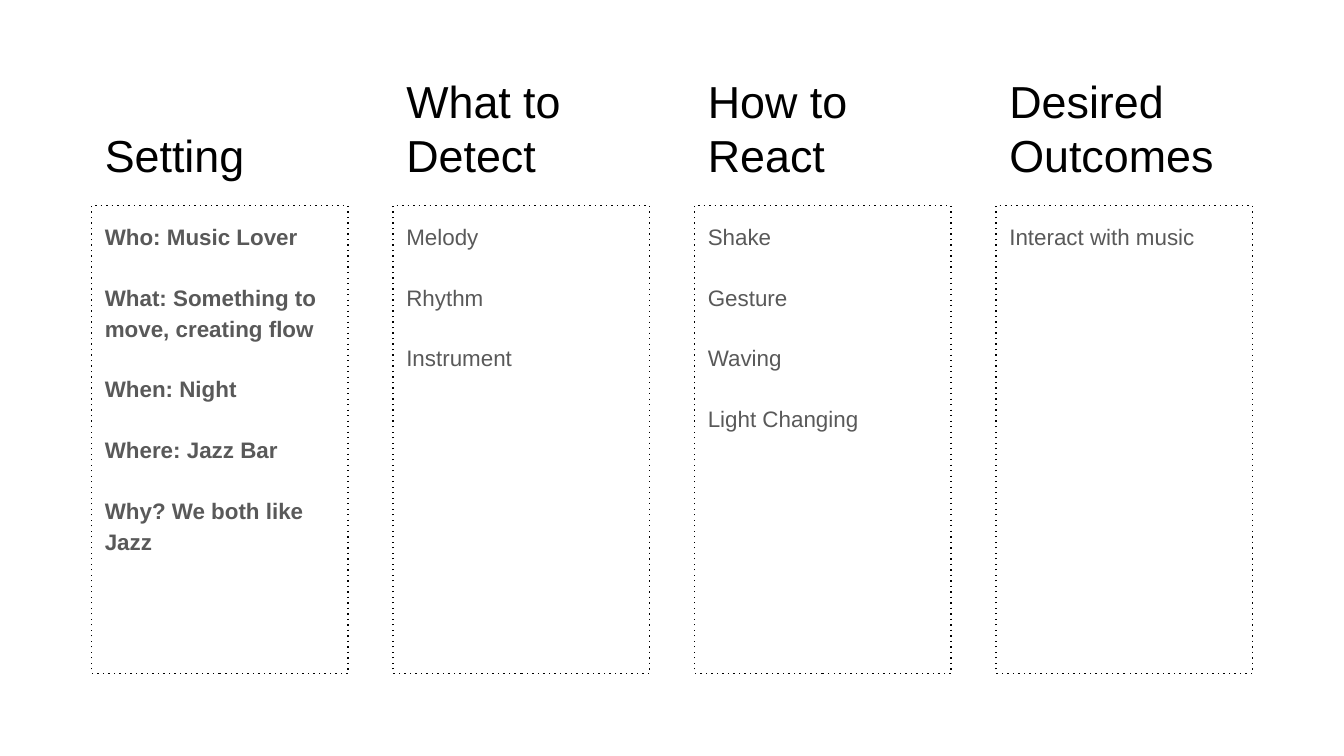
from copy import deepcopy

from pptx import Presentation
from pptx.dml.color import RGBColor
from pptx.enum.dml import MSO_LINE
from pptx.enum.text import MSO_ANCHOR, MSO_AUTO_SIZE, PP_ALIGN
from pptx.oxml.xmlchemy import OxmlElement
from pptx.util import Inches, Pt

COLORS = {"background": "FFFFFF", "heading": "000000", "body": "595959", "border": "000000"}
FONT = "Arial"
SLIDE_WIDTH = 10
SLIDE_HEIGHT = SLIDE_WIDTH * 9 / 16
MARGIN, COLUMN_WIDTH = 0.68, 1.91
HEADING_TOP, HEADING_HEIGHT = 0.62, 0.83
LIST_TOP, LIST_HEIGHT = 1.53, 3.48

COLUMNS = [
    ("Setting", ["Who: Music Lover", "What: Something to move, creating flow",
                 "When: Night", "Where: Jazz Bar", "Why? We both like Jazz"], True),
    ("What to Detect", ["Melody", "Rhythm", "Instrument"], False),
    ("How to React", ["Shake", "Gesture", "Waving", "Light Changing"], False),
    ("Desired Outcomes", ["Interact with music"], False),
]


def color(name):
    """Return the named palette colour."""
    return RGBColor.from_string(COLORS[name])


def duplicate_placeholder(slide, placeholder):
    """Add another placeholder of the same type and return it."""
    element = deepcopy(placeholder.element)
    element.nvSpPr.cNvPr.id = max(shape.shape_id for shape in slide.shapes) + 1
    slide.shapes.element.append(element)
    return slide.shapes[-1]


def fill_placeholder(shape, box, lines, size, color_name, anchor, bold=False):
    """Place a placeholder in its box and set its lines as plain left-aligned text."""
    shape.left, shape.top, shape.width, shape.height = map(Inches, box)
    frame = shape.text_frame
    frame.text = "\n".join(lines)
    frame.word_wrap = True
    frame.auto_size = MSO_AUTO_SIZE.NONE
    frame.vertical_anchor = anchor
    frame.margin_left = frame.margin_right = Inches(0.1)
    frame.margin_top = frame.margin_bottom = Inches(0.1)
    for paragraph in frame.paragraphs:
        paragraph.alignment = PP_ALIGN.LEFT
        paragraph.space_before = Pt(0)
        font = paragraph.font
        font.name, font.size, font.bold = FONT, Pt(size), bold
        font.color.rgb = color(color_name)


def format_list(shape):
    """Give a list its dotted border, open spacing and no bullets."""
    shape.line.color.rgb = color("border")
    shape.line.width = Pt(0.75)
    shape.line.dash_style = MSO_LINE.ROUND_DOT
    shape.line._ln.prstDash.set("val", "dot")
    for paragraph in shape.text_frame.paragraphs:
        paragraph.line_spacing = 1.15
        paragraph.space_after = Pt(16)
        properties = paragraph._p.get_or_add_pPr()
        properties.set("marL", "0")
        properties.set("indent", "0")
        properties.insert_element_before(
            OxmlElement("a:buNone"), "a:tabLst", "a:defRPr", "a:extLst")


def build_column(title, body, left, heading, items, bold):
    """Fill one column: a heading above a bordered list."""
    fill_placeholder(title, (left, HEADING_TOP, COLUMN_WIDTH, HEADING_HEIGHT),
                     [heading], 24, "heading", MSO_ANCHOR.BOTTOM)
    fill_placeholder(body, (left, LIST_TOP, COLUMN_WIDTH, LIST_HEIGHT),
                     items, 12, "body", MSO_ANCHOR.TOP, bold)
    format_list(body)


def build_slide(presentation):
    """Build the slide as equal columns between the side margins."""
    slide = presentation.slides.add_slide(presentation.slide_layouts[1])
    slide.background.fill.solid()
    slide.background.fill.fore_color.rgb = color("background")
    pairs = [(slide.shapes.title, slide.placeholders[1])]
    for _ in COLUMNS[1:]:
        pairs.append(tuple(duplicate_placeholder(slide, part) for part in pairs[0]))
    pitch = (SLIDE_WIDTH - 2 * MARGIN - COLUMN_WIDTH) / (len(COLUMNS) - 1)
    for index, ((title, body), column) in enumerate(zip(pairs, COLUMNS)):
        build_column(title, body, MARGIN + index * pitch, *column)


presentation = Presentation()
presentation.slide_width = Inches(SLIDE_WIDTH)
presentation.slide_height = Inches(SLIDE_HEIGHT)
build_slide(presentation)
presentation.save("out.pptx")
